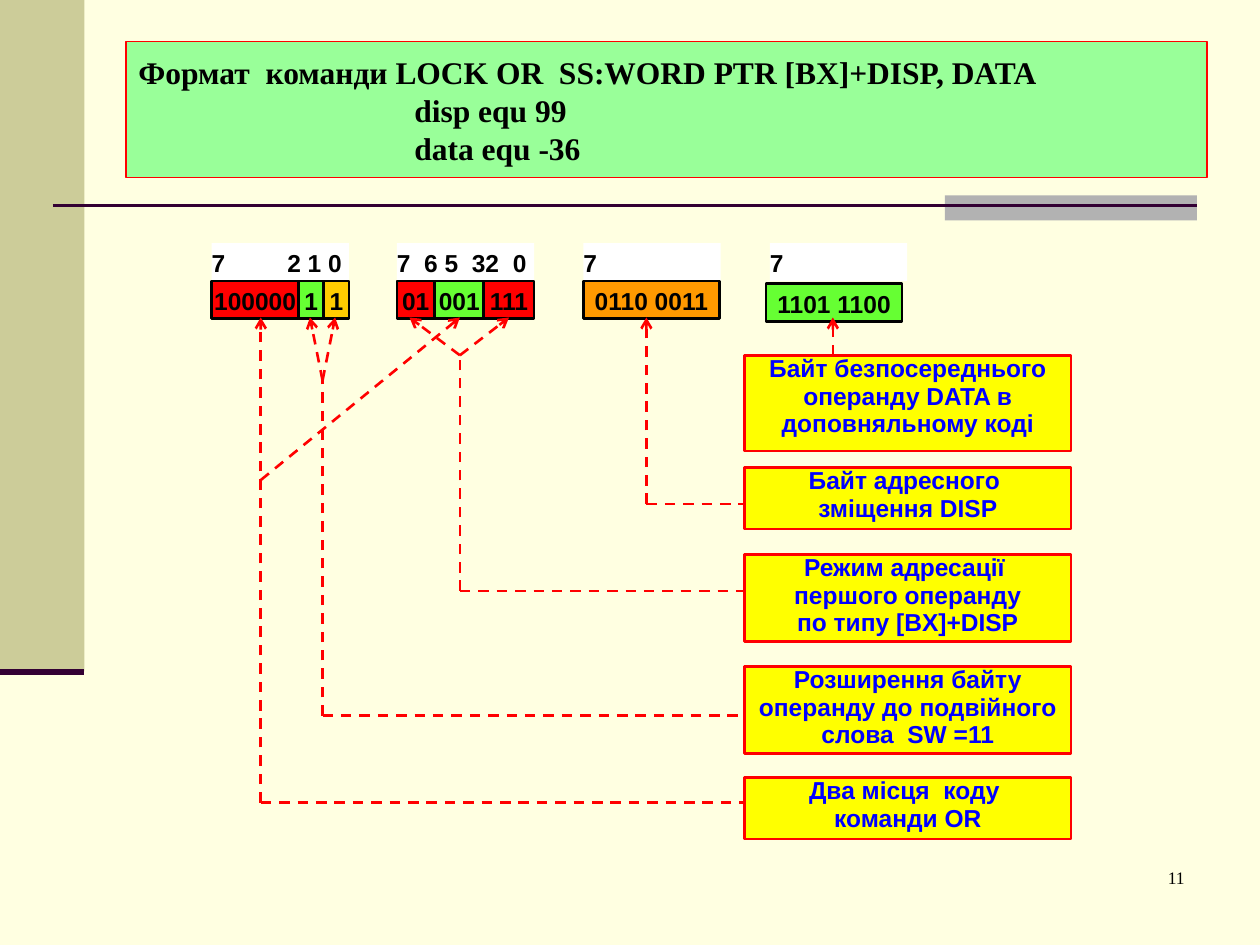
import pptx
import pptx.dml.color
import pptx.enum.dml
import pptx.enum.shapes
import pptx.enum.text
import pptx.oxml.ns
import pptx.util
from lxml import etree

Inches = pptx.util.Inches
Pt = pptx.util.Pt
RGB = pptx.dml.color.RGBColor
ALIGN = pptx.enum.text.PP_ALIGN
ANCHOR = pptx.enum.text.MSO_ANCHOR
qn = pptx.oxml.ns.qn

CREAM = RGB(0xFF, 0xFF, 0xE1)
KHAKI = RGB(0xCC, 0xCC, 0x99)
GRAY = RGB(0xB2, 0xB2, 0xB2)
PLUM = RGB(0x33, 0x00, 0x33)
MINT = RGB(0x99, 0xFF, 0x99)
WHITE = RGB(0xFF, 0xFF, 0xFF)
BLACK = RGB(0x00, 0x00, 0x00)
RED = RGB(0xFF, 0x00, 0x00)
GREEN = RGB(0x66, 0xFF, 0x33)
GOLD = RGB(0xFF, 0xCC, 0x00)
ORANGE = RGB(0xFF, 0x99, 0x00)
YELLOW = RGB(0xFF, 0xFF, 0x00)
BLUE = RGB(0x00, 0x00, 0xFF)

CELL_H = 0.3
TIP = 2.52
NOTE_X, NOTE_W = 5.91, 2.59
NOTE_SPACE = 0.94  # lets three lines fit in the lower notes

# label left, label, tab stop, top and left of the cells, (bits, width, fill)
BYTES = [
    (1.68, "7\t2 1 0", 0.6, 2.23, 1.68,
     [("100000", 0.69, RED), ("1", 0.2, GREEN), ("1", 0.2, GOLD)]),
    (3.15, "7  6 5  32  0", None, 2.23, 3.15,
     [("01", 0.3, RED), ("001", 0.39, GREEN), ("111", 0.4, RED)]),
    (4.63, "7", None, 2.23, 4.63, [("0110 0011", 1.08, ORANGE)]),
    (6.11, "7", None, 2.25, 6.08, [("1101 1100", 1.08, GREEN)]),
]

# top, height, text
NOTES = [
    (2.82, 0.76, "Байт безпосереднього операнду DATA в\nдоповняльному коді"),
    (3.71, 0.49, "Байт адресного \nзміщення DISP"),
    (4.4, 0.69, "Режим адресації \nпершого операнду\nпо типу [BX]+DISP"),
    (5.29, 0.69, "Розширення байту\nоперанду до подвійного слова  SW =11"),
    (6.17, 0.49, "Два місця  коду \nкоманди OR"),
]

# trunk x, y where it meets its note, y of its upper end, fork tips
TRUNKS = [
    (5.13, 4, TIP, []),
    (3.65, 4.69, 2.82, [3.25, 4.04]),
    (2.56, 5.68, 3.02, [2.46, 2.66]),
    (2.07, 6.37, TIP, []),
]


def box(slide, x, y, w, h, fill, line=None, width=1.5):
    shape = slide.shapes.add_shape(pptx.enum.shapes.MSO_SHAPE.RECTANGLE,
                                   Inches(x), Inches(y), Inches(w), Inches(h))
    shape.shadow.inherit = False
    shape.fill.solid()
    shape.fill.fore_color.rgb = fill
    if line is None:
        shape.line.fill.background()
    else:
        shape.line.color.rgb = line
        shape.line.width = Pt(width)
    return shape


def write(shape, text, size=14, color=BLACK, font="Arial", bold=True,
          align=ALIGN.CENTER, anchor=ANCHOR.TOP, inset=(0, 0), space=1.0):
    """Fill a shape with text; inset is the side and the top margin."""
    frame = shape.text_frame
    frame.word_wrap = True
    frame.vertical_anchor = anchor
    frame.margin_left = frame.margin_right = Inches(inset[0])
    frame.margin_top, frame.margin_bottom = Inches(inset[1]), 0
    frame.text = text
    for para in frame.paragraphs:
        para.alignment = align
        para.line_spacing = space
        for run in para.runs:
            run.font.name, run.font.size = font, Pt(size)
            run.font.bold, run.font.color.rgb = bold, color
    return frame.paragraphs


def line(slide, x1, y1, x2, y2, color=RED, width=1.5, dash=True, head=False):
    link = slide.shapes.add_connector(
        pptx.enum.shapes.MSO_CONNECTOR.STRAIGHT,
        Inches(x1), Inches(y1), Inches(x2), Inches(y2))
    link.line.color.rgb = color
    link.line.width = Pt(width)
    if dash:
        link.line.dash_style = pptx.enum.dml.MSO_LINE.DASH
    props = link._element.spPr
    if head:
        etree.SubElement(props.find(qn("a:ln")), qn("a:tailEnd"), type="arrow")
    etree.SubElement(props, qn("a:effectLst"))


def tab_stop(para, pos):
    stops = etree.SubElement(para._p.get_or_add_pPr(), qn("a:tabLst"))
    etree.SubElement(stops, qn("a:tab"), pos=str(Inches(pos)), algn="l")


def frame_art(slide):
    """Draw the side band and the rules around the content."""
    box(slide, 0, 0, 0.67, 5.33, KHAKI)
    box(slide, 7.5, 1.55, 2, 0.2, GRAY)
    line(slide, 0.42, 1.63, 9.5, 1.63, PLUM, 1.5, dash=False)
    line(slide, 0, 5.33, 0.67, 5.33, PLUM, 3.5, dash=False)


def title(slide):
    shape = box(slide, 1, 0.33, 8.58, 1.08, MINT, RED, 0.75)
    text = ("Формат  команди LOCK OR  SS:WORD PTR [BX]+DISP, DATA\n"
            "disp equ 99\ndata equ -36")
    paras = write(shape, text, 18, font="Times New Roman", align=ALIGN.LEFT,
                  anchor=ANCHOR.MIDDLE, inset=(0.1, 0))
    for para in paras[1:]:
        para._p.get_or_add_pPr().set("marL", str(Inches(2.19)))


def code_byte(slide, left, label, stop, top, x, cells):
    head = box(slide, left, 1.93, 1.09, CELL_H, WHITE)
    paras = write(head, label, align=ALIGN.LEFT, inset=(0, 0.04))
    if stop:
        tab_stop(paras[0], stop)
    for bits, width, fill in cells:
        cell = box(slide, x, top, width, CELL_H, fill, BLACK)
        write(cell, bits, inset=(0, 0.04))
        x += width


def trunk(slide, x, low, high, tips):
    """Lead a dashed path from a note up to the bits it explains."""
    line(slide, x, low, NOTE_X, low)
    line(slide, x, low, x, high, head=not tips)
    for tip in tips:
        line(slide, x, high, tip, TIP, head=True)


def main():
    deck = pptx.Presentation()
    deck.slide_width, deck.slide_height = Inches(10), Inches(7.5)
    slide = deck.slides.add_slide(deck.slide_layouts[6])
    slide.background.fill.solid()
    slide.background.fill.fore_color.rgb = CREAM

    frame_art(slide)
    title(slide)
    for item in BYTES:
        code_byte(slide, *item)
    for top, height, text in NOTES:
        note = box(slide, NOTE_X, top, NOTE_W, height, YELLOW, RED)
        write(note, text, color=BLUE, space=NOTE_SPACE)
    for item in TRUNKS:
        trunk(slide, *item)
    line(slide, 6.61, 2.82, 6.61, TIP, head=True)
    line(slide, 2.07, 3.81, 3.65, TIP, head=True)

    number = slide.shapes.add_textbox(Inches(7.42), Inches(6.83),
                                      Inches(2.08), Inches(0.5))
    write(number, "11", 10, font="Times New Roman", bold=False,
          align=ALIGN.RIGHT, inset=(0.1, 0.05))
    deck.save("out.pptx")


if __name__ == "__main__":
    main()
